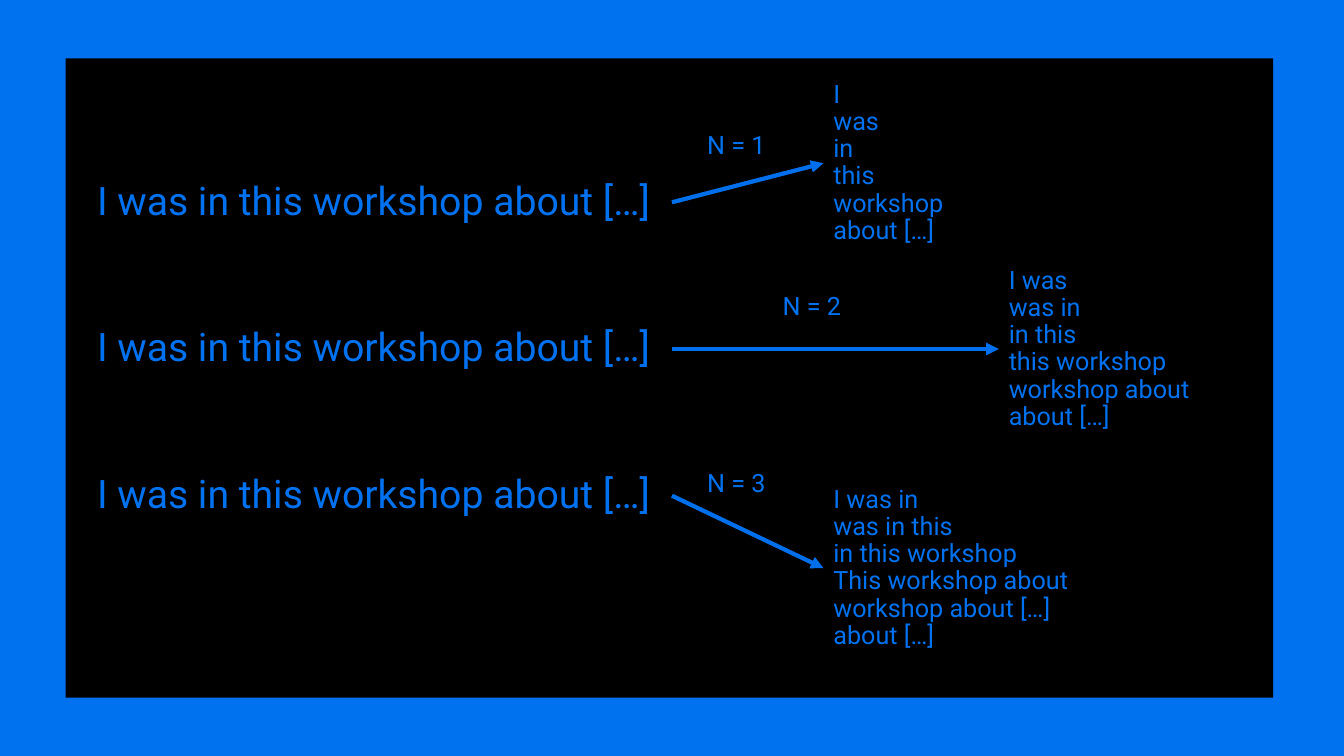
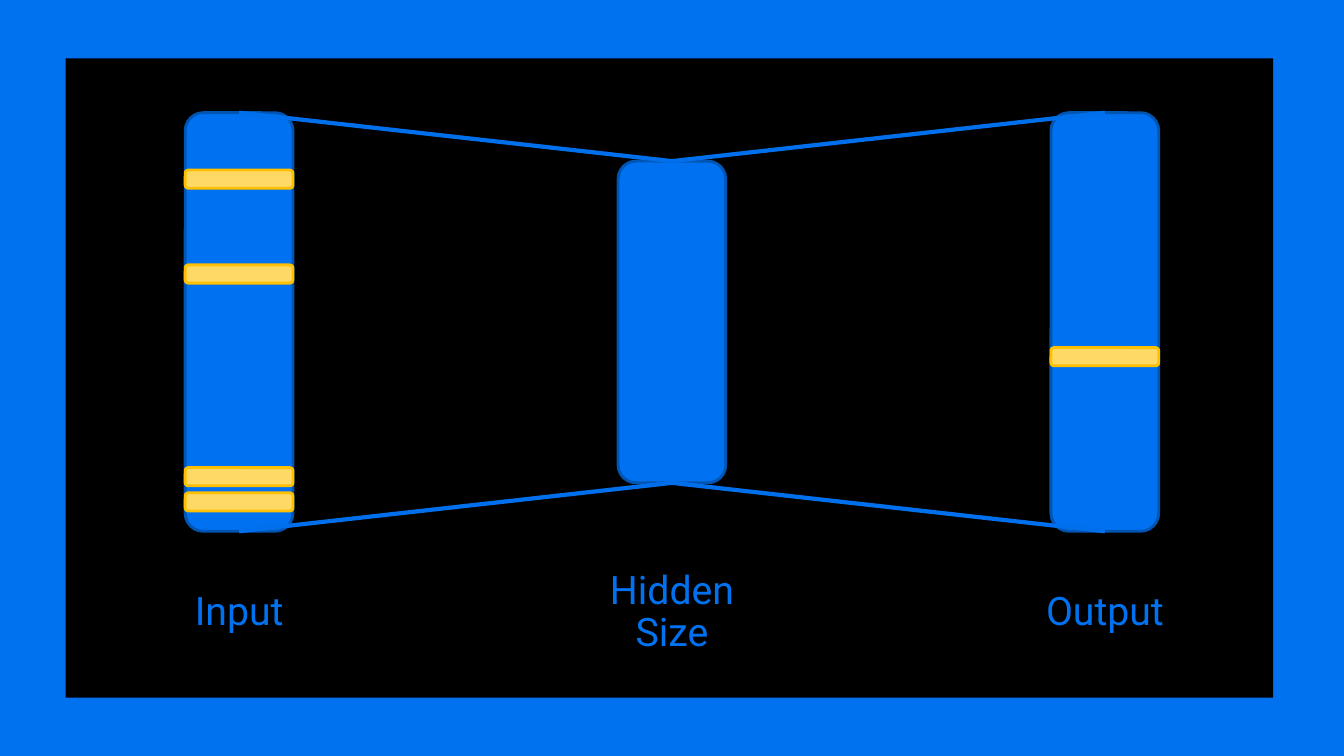
from collections import namedtuple
from itertools import pairwise

from lxml import etree
from pptx import Presentation
from pptx.dml.color import RGBColor
from pptx.enum.shapes import MSO_CONNECTOR, MSO_SHAPE
from pptx.enum.text import MSO_ANCHOR, PP_ALIGN
from pptx.oxml.ns import qn
from pptx.util import Pt

STRAIGHT = MSO_CONNECTOR.STRAIGHT
RECTANGLE = MSO_SHAPE.RECTANGLE
ROUNDED = MSO_SHAPE.ROUNDED_RECTANGLE
MIDDLE = MSO_ANCHOR.MIDDLE
LEFT, CENTER = PP_ALIGN.LEFT, PP_ALIGN.CENTER

# Shared style
FONT = "Roboto"
BLUE = "0072F0"
LINE_BLUE = "006FEB"
LAYER_FILL, LAYER_LINE = "0071F0", "0054B2"
BAR_FILL, BAR_LINE = "FFD966", "FFC000"
BLACK = "000000"
BLANK_LAYOUT = 6

Box = namedtuple("Box", "left top width height")
PANEL = Box(46.8, 41.8, 862.6, 456.5)

# N-gram rows: label and its place, list place (left, middle, width, height), lines
SENTENCE = "I was in this workshop about […]"
NGRAMS = [
    ("N = 1", (443.5, 39.6), (541.4, 74.8, 174, 122.4),
     ["I", "was", "in", "this", "workshop", "about […]"]),
    ("N = 2", (497.5, 154.8), (666.7, 207.5, 174, 143.3),
     ["I was", "was in", "in this", "this workshop", "workshop about",
      "about […]"]),
    ("N = 3", (443.5, 280.8), (541.4, 364, 208, 143.3),
     ["I was in", "was in this", "in this workshop", "This workshop about",
      "workshop about […]", "about […]"]),
]

# Network layers: label lines, height, offsets of the highlighted bars
LAYERS = [
    (["Input"], 299, [41, 108.7, 253.5, 271.5]),
    (["Hidden", "Size"], 229.8, []),
    (["Output"], 299, [167.8]),
]


def color(hex_text):
    return RGBColor.from_string(hex_text)


def add_text(slide, lines, box, size=18, align=CENTER, font_color=BLUE):
    shape = slide.shapes.add_textbox(*map(Pt, box))
    frame = shape.text_frame
    frame.word_wrap = True
    frame.vertical_anchor = MIDDLE
    for index, line in enumerate(lines):
        paragraph = frame.add_paragraph() if index else frame.paragraphs[0]
        paragraph.text = line
        paragraph.alignment = align
        paragraph.line_spacing = 0.9
        paragraph.font.name = FONT
        paragraph.font.size = Pt(size)
        paragraph.font.color.rgb = color(font_color)


def add_block(slide, kind, box, fill, line=None):
    shape = slide.shapes.add_shape(kind, *map(Pt, box))
    shape.shadow.inherit = False
    shape.fill.solid()
    shape.fill.fore_color.rgb = color(fill)
    if line:
        shape.line.color.rgb = color(line)
        shape.line.width = Pt(2)
    else:
        shape.line.fill.background()


def add_line(slide, start, end, arrow=False):
    connector = slide.shapes.add_connector(STRAIGHT, *map(Pt, (*start, *end)))
    connector.line.color.rgb = color(LINE_BLUE)
    connector.line.width = Pt(3)
    if arrow:
        outline = connector.line._get_or_add_ln()
        etree.SubElement(outline, qn("a:tailEnd"), type="triangle")
    etree.SubElement(connector._element.spPr, qn("a:effectLst"))


def add_panel_slide(presentation):
    slide = presentation.slides.add_slide(
        presentation.slide_layouts[BLANK_LAYOUT])
    add_block(slide, RECTANGLE, PANEL, BLACK)
    return slide


def draw_ngrams(slide, box):
    row_height, first_middle = 104.8, 102.7
    for row, (label, label_place, list_place, lines) in enumerate(NGRAMS):
        middle = box.top + first_middle + row * row_height
        # Sentence
        sentence_box = Box(box.left + 7.2, middle - row_height / 2,
                           425.5, row_height)
        add_text(slide, [SENTENCE], sentence_box, size=28)
        # List of n-grams
        left, list_middle, width, height = list_place
        left, list_middle = box.left + left, box.top + list_middle
        list_box = Box(left, list_middle - height / 2, width, height)
        add_text(slide, lines, list_box, align=LEFT)
        # Arrow and its label
        add_line(slide, (box.left + 433.2, middle), (left, list_middle),
                 arrow=True)
        label_left, label_top = label_place
        add_text(slide, [label],
                 Box(box.left + label_left, box.top + label_top, 71.3, 46))


def draw_network(slide, box):
    layer_width, label_width, bar_height = 77, 200, 13
    first_center, layer_step = box.left + 124, 309.2
    middle = box.top + 188.2
    centers = [first_center + index * layer_step
               for index in range(len(LAYERS))]
    layer_boxes = [Box(center - layer_width / 2, middle - height / 2,
                       layer_width, height)
                   for center, (_, height, _) in zip(centers, LAYERS)]
    # Layers and labels
    for center, layer_box, (label, _, _) in zip(centers, layer_boxes, LAYERS):
        add_block(slide, ROUNDED, layer_box, LAYER_FILL, LAYER_LINE)
        add_text(slide, label, Box(center - label_width / 2, box.top + 360.7,
                                   label_width, 70.6), size=28)
    # Lines between neighbouring layers, at top and bottom
    for (start, first), (end, second) in pairwise(zip(centers, layer_boxes)):
        for side in (-0.5, 0.5):
            add_line(slide, (start, middle + side * first.height),
                     (end, middle + side * second.height))
    # Highlighted bars
    for layer_box, (_, _, offsets) in zip(layer_boxes, LAYERS):
        for offset in offsets:
            bar = layer_box._replace(top=layer_box.top + offset,
                                     height=bar_height)
            add_block(slide, ROUNDED, bar, BAR_FILL, BAR_LINE)


def main():
    presentation = Presentation()
    presentation.slide_width, presentation.slide_height = Pt(960), Pt(540)
    background = presentation.slide_master.background.fill
    background.solid()
    background.fore_color.rgb = color(BLUE)
    for draw in (draw_ngrams, draw_network):
        draw(add_panel_slide(presentation), PANEL)
    presentation.save("out.pptx")


if __name__ == "__main__":
    main()
